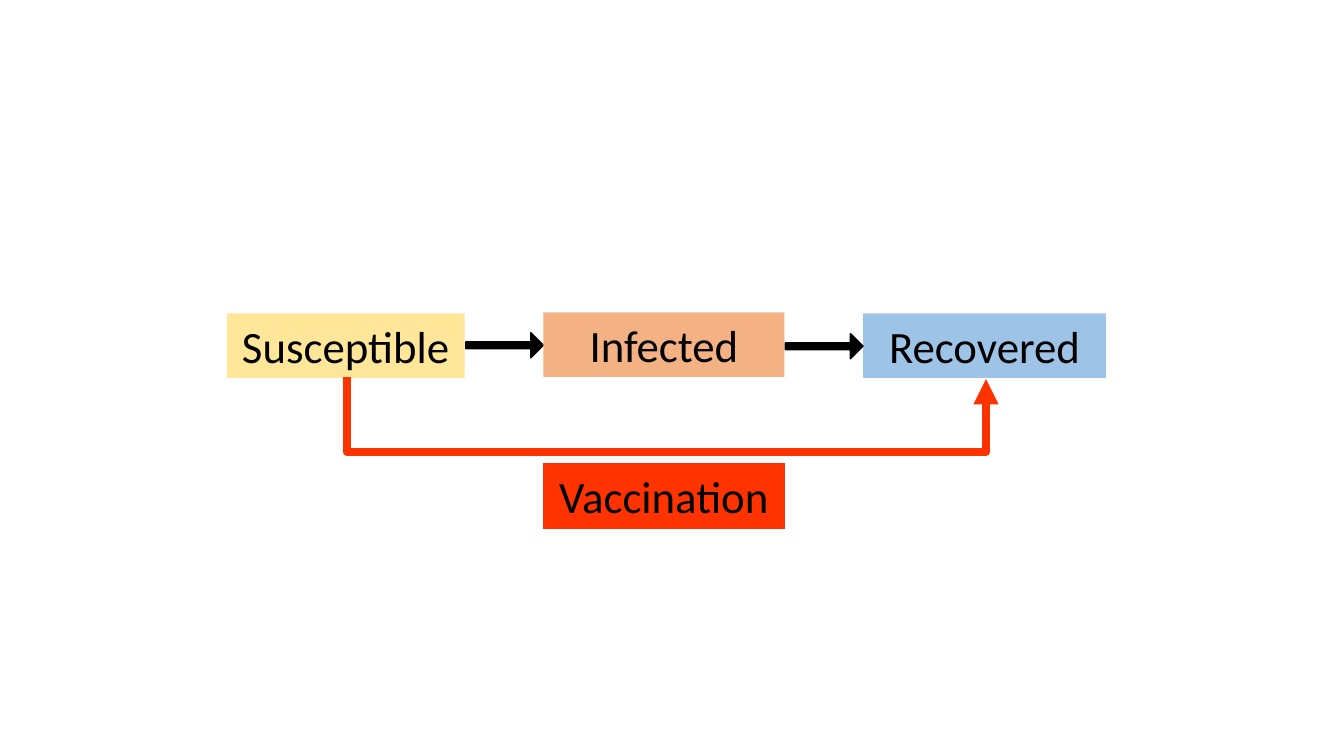
from lxml.etree import SubElement
from pptx import Presentation
from pptx.dml.color import RGBColor
from pptx.enum.shapes import MSO_CONNECTOR as Connector, MSO_SHAPE as Preset
from pptx.enum.text import MSO_ANCHOR as Anchor, PP_ALIGN as Align
from pptx.oxml.ns import qn
from pptx.util import Pt

EMU_PER_PX = 9144
BLACK = "000000"
RED = "FF3300"
BOX_HEIGHT = 64


def px(length):
    return round(length * EMU_PER_PX)


def color(value):
    return RGBColor.from_string(value)


def add_filled(slide, preset, bounds, fill, line_width=0):
    shape = slide.shapes.add_shape(preset, *map(px, bounds))
    shape.shadow.inherit = False
    shape.fill.solid()
    shape.fill.fore_color.rgb = color(fill)
    if line_width:
        shape.line.color.rgb = color(fill)
        shape.line.width = Pt(line_width)
    else:
        shape.line.fill.background()
    return shape


def add_box(slide, label, left, top, width, fill, line_width=0):
    shape = add_filled(slide, Preset.RECTANGLE, (left, top, width, BOX_HEIGHT), fill, line_width)
    frame = shape.text_frame
    frame.word_wrap = True
    frame.vertical_anchor = Anchor.TOP
    paragraph = frame.paragraphs[0]
    paragraph.alignment = Align.CENTER
    run = paragraph.add_run()
    run.text = label
    run.font.name = "Calibri"
    run.font.size = Pt(32)
    run.font.color.rgb = color(BLACK)


def add_block_arrow(slide, left, top):
    arrow = add_filled(slide, Preset.RIGHT_ARROW, (left, top, 77, 25), BLACK, 1)
    arrow.adjustments[0] = 0.27
    arrow.adjustments[1] = 0.5


def add_bypass(slide, start, end, drop):
    (start_x, start_y), (end_x, end_y) = start, end
    span, rise = end_x - start_x, end_y - start_y
    middle_x, middle_y = (start_x + end_x) / 2, (start_y + end_y) / 2
    left, top = middle_x - rise / 2, middle_y - span / 2
    connector = slide.shapes.add_connector(
        Connector.ELBOW, px(left), px(top), px(left + rise), px(top + span))
    connector.line.color.rgb = color(RED)
    connector.line.width = Pt(6)
    properties = connector._element.spPr
    transform = properties.find(qn("a:xfrm"))
    transform.set("rot", "16200000")
    transform.set("flipH", "1")
    guides = properties.find(qn("a:prstGeom")).find(qn("a:avLst"))
    bend = round(drop / rise * 100000)
    SubElement(guides, qn("a:gd"), name="adj1", fmla=f"val {bend}")
    SubElement(properties.find(qn("a:ln")), qn("a:tailEnd"), type="triangle")
    SubElement(properties, qn("a:effectLst"))


def main():
    presentation = Presentation()
    presentation.slide_width = px(1333)
    presentation.slide_height = px(750)
    slide = presentation.slides.add_slide(presentation.slide_layouts[6])
    add_box(slide, "Susceptible", 225, 311, 236, "FFE699")
    add_block_arrow(slide, 462, 330)
    add_box(slide, "Infected", 539, 310, 239, "F4B183")
    add_box(slide, "Recovered", 856, 311, 241, "9DC3E6")
    add_block_arrow(slide, 779, 331)
    add_bypass(slide, (344, 374), (978, 376), 74)
    add_box(slide, "Vaccination", 539, 460, 239, RED, 0.75)
    presentation.save("out.pptx")


if __name__ == "__main__":
    main()
